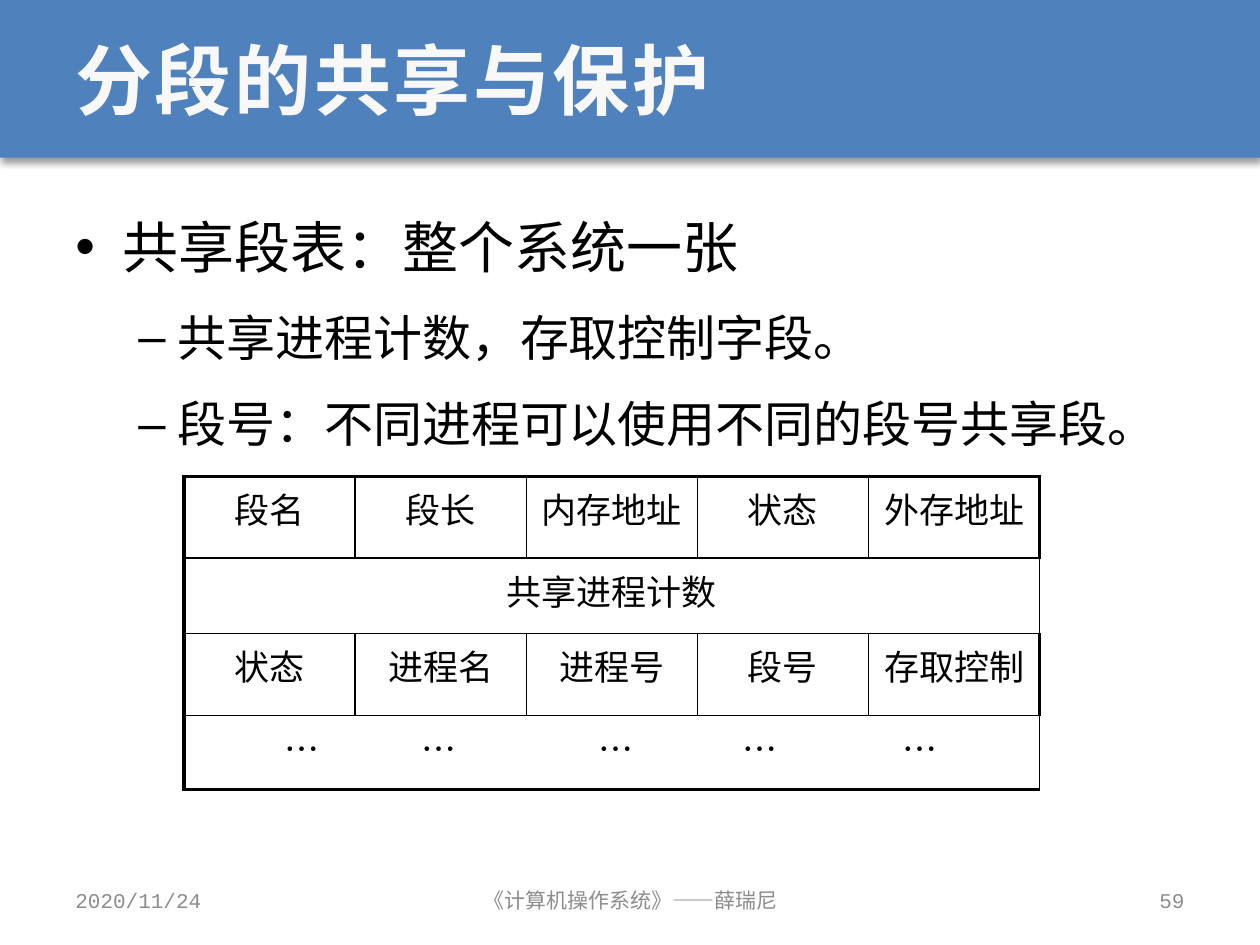
"""Build the slide on sharing and protecting segments."""
from lxml import etree
from pptx import Presentation
from pptx import util as u
from pptx.dml.color import RGBColor
from pptx.enum import shapes, text
from pptx.oxml import ns

HUES = {"bar": "4F81BD", "head": "F8F8F8", "ink": "000000", "foot": "8C8C8C"}
MONO, SANS = "Courier New", "Noto Sans CJK SC"
ALIGN, MID = text.PP_ALIGN, text.MSO_ANCHOR.MIDDLE

TITLE = "分段的共享与保护"
BODY = [
    (0, "共享段表：整个系统一张"),
    (1, "共享进程计数，存取控制字段。"),
    (1, "段号：不同进程可以使用不同的段号共享段。"),
]
LEVELS = [
    {"size": 32, "left": 0.95, "hang": 0.95, "mark": "•"},
    {"size": 28, "left": 2.06, "hang": 0.79, "mark": "–"},
]
ROWS = [
    ["段名", "段长", "内存地址", "状态", "外存地址"],
    ["共享进程计数"],
    ["状态", "进程名", "进程号", "段号", "存取控制"],
    ["\t…\t…\t…\t…\t…"],
]
TABS = [2.13, 4.88, 8.45, 11.36, 14.59]
TALL = [1.65, 1.52, 1.65, 1.5]
COLS, WIDE = 5, 3.45
FEET = [
    (1.27, 5.92, ALIGN.LEFT, "2020/11/24"),
    (8.69, 8.05, ALIGN.CENTER, "《计算机操作系统》——薛瑞尼"),
    (18.21, 5.92, ALIGN.RIGHT, "59"),
]


def color(key):
    return RGBColor.from_string(HUES[key])


def sub(node, tag, **attrs):
    kid = etree.SubElement(node, ns.qn("a:" + tag))
    for key, val in attrs.items():
        kid.set(key, str(val))
    return kid


def write(para, words, size, hue, name=MONO, bold=False):
    run = para.add_run()
    run.text = words
    form = {"size": u.Pt(size), "name": name, "bold": bold}
    for key, val in form.items():
        setattr(run.font, key, val)
    run.font.color.rgb = color(hue)
    sub(run.font._element, "ea", typeface=SANS)
    return run


def frame(slide, left, top, width, height, anchor):
    box = slide.shapes.add_textbox(*map(u.Cm, (left, top, width, height)))
    form = {"word_wrap": True, "vertical_anchor": anchor}
    for key, val in form.items():
        setattr(box.text_frame, key, val)
    return box.text_frame


def banner(slide, wide):
    bar = slide.shapes.add_shape(shapes.MSO_SHAPE.RECTANGLE, 0, 0, wide, u.Cm(3.18))
    bar.fill.solid()
    bar.fill.fore_color.rgb = color("bar")
    bar.line.fill.background()
    bar.shadow.inherit = False
    fx = bar._element.spPr.find(ns.qn("a:effectLst"))
    cast = sub(fx, "outerShdw", blurRad=u.Pt(4), dist=u.Pt(3), dir=5400000,
               algn="t", rotWithShape=0)
    sub(sub(cast, "srgbClr", val=HUES["ink"]), "alpha", val=40000)
    para = frame(slide, 1.27, 0, 22.86, 3.18, MID).paragraphs[0]
    run = write(para, TITLE, 44, "head", bold=True)
    run.font._element.set("spc", "150")


def bullets(slide):
    body = frame(slide, 1.27, 3.76, 22.86, 13.54, text.MSO_ANCHOR.TOP)
    for i, (depth, words) in enumerate(BODY):
        para = body.add_paragraph() if i else body.paragraphs[0]
        level = LEVELS[depth]
        para.level = depth
        para.line_spacing = 1.3
        para.space_before = u.Pt(level["size"] * 0.2 if i else 0)
        props = para._p.get_or_add_pPr()
        props.set("marL", str(u.Cm(level["left"])))
        props.set("indent", str(-u.Cm(level["hang"])))
        sub(props, "buFont", typeface="Arial")
        sub(props, "buChar", char=level["mark"])
        write(para, words, level["size"], "ink")


def border(cell, row, col):
    props = cell._tc.get_or_add_tcPr()
    outer = {"lnL": col == 0, "lnR": col == COLS - 1,
             "lnT": row == 0, "lnB": row == len(ROWS) - 1}
    for tag, edge in outer.items():
        line = sub(props, tag, w=u.Pt(2.25 if edge else 1))
        sub(sub(line, "solidFill"), "srgbClr", val=HUES["ink"])


def grid(slide):
    size = map(u.Cm, (3.71, 9.6, WIDE * COLS, sum(TALL)))
    table = slide.shapes.add_table(len(ROWS), COLS, *size).table
    table.first_row = table.horz_banding = False
    for col in table.columns:
        col.width = u.Cm(WIDE)
    for r, row in enumerate(ROWS):
        table.rows[r].height = u.Cm(TALL[r])
        for c in range(COLS):
            cell = table.cell(r, c)
            border(cell, r, c)
            cell.fill.background()
        if len(row) == 1:
            table.cell(r, 0).merge(table.cell(r, COLS - 1))
        for c, words in enumerate(row):
            para = table.cell(r, c).text_frame.paragraphs[0]
            tabbed = "\t" in words
            para.alignment = ALIGN.LEFT if tabbed else ALIGN.CENTER
            if tabbed:
                stops = sub(para._p.get_or_add_pPr(), "tabLst")
                for pos in TABS:
                    sub(stops, "tab", pos=u.Cm(pos), algn="ctr")
            write(para, words, 20, "ink", SANS)


def footer(slide):
    for left, width, align, words in FEET:
        para = frame(slide, left, 17.65, width, 1.01, MID).paragraphs[0]
        para.alignment = align
        write(para, words, 12, "foot")


def main():
    deck = Presentation()
    deck.slide_width, deck.slide_height = u.Cm(25.4), u.Cm(19.05)
    slide = deck.slides.add_slide(deck.slide_layouts[6])
    banner(slide, deck.slide_width)
    bullets(slide)
    grid(slide)
    footer(slide)
    deck.save("out.pptx")


if __name__ == "__main__":
    main()
